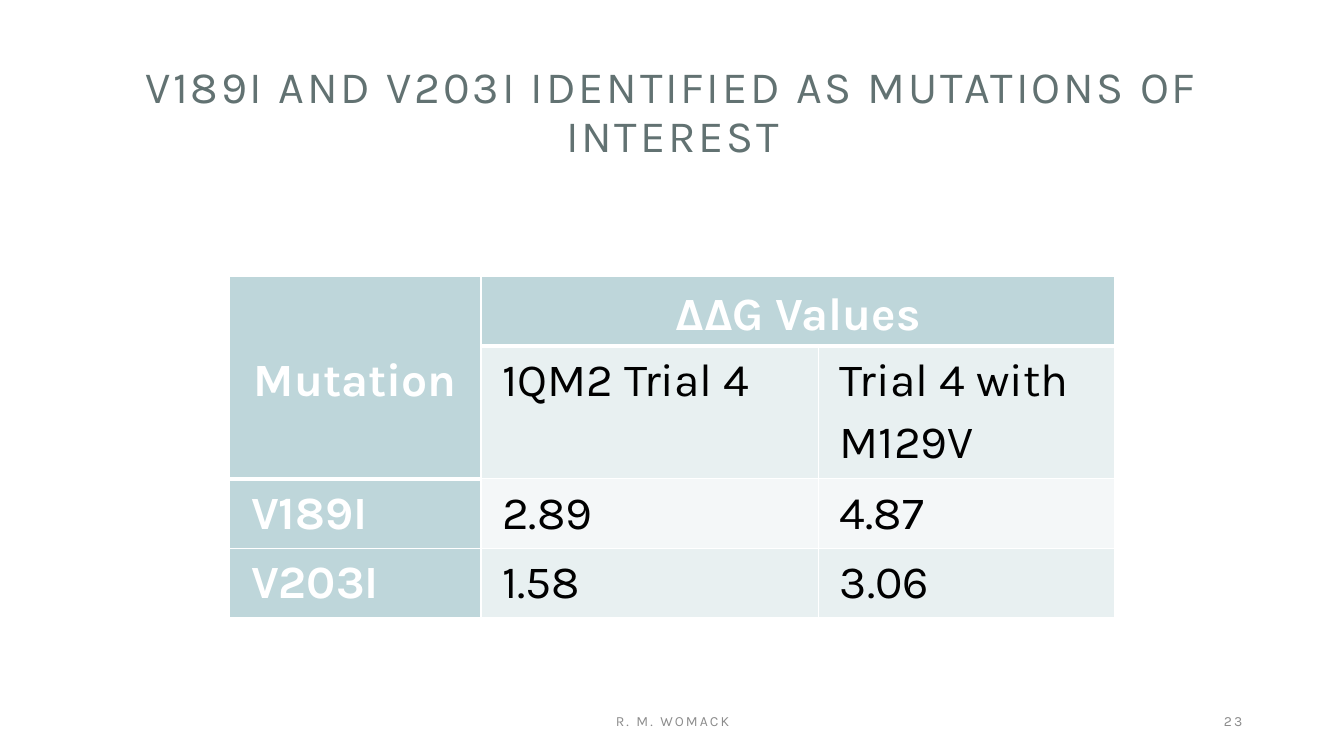
from dataclasses import dataclass

from lxml import etree
from pptx import Presentation
from pptx import util as u
from pptx.dml.color import RGBColor
from pptx.enum import text
from pptx.oxml import ns


@dataclass(frozen=True)
class Theme:
    font: str = "Karla"
    title: str = "627272"
    muted: str = "8C8C8C"
    white: str = "FFFFFF"
    black: str = "000000"
    header: str = "BED6DA"
    band_dark: str = "E8F0F1"
    band_light: str = "F4F7F8"
    title_size: int = 32
    table_size: int = 33
    footer_size: int = 10


T = Theme()
AL = text.PP_ALIGN
MIDDLE = text.MSO_ANCHOR.MIDDLE


def write(tf, words, size, color, align=AL.LEFT, bold=False, line=None, after=None, spacing=0):
    """Put one formatted run into a text frame."""
    tf.word_wrap = True
    p = tf.paragraphs[0]
    p.alignment = align
    if line is not None:
        p.line_spacing = line
    if after is not None:
        p.space_after = u.Pt(after)
    r = p.add_run()
    r.text = words
    r.font.name = T.font
    r.font.size = u.Pt(size)
    r.font.bold = bold
    r.font.color.rgb = RGBColor.from_string(color)
    if spacing:
        r.font._element.set("spc", str(int(spacing * 100)))


def place(sp, box):
    sp.left, sp.top, sp.width, sp.height = (u.Inches(v) for v in box)


def add_title(s, box, words):
    sp = s.shapes.title
    place(sp, box)
    tf = sp.text_frame
    tf.auto_size = text.MSO_AUTO_SIZE.NONE
    tf.vertical_anchor = MIDDLE
    write(tf, words, T.title_size, T.title, AL.CENTER, line=0.9, spacing=2)


def add_footer(s, box, words, align):
    sp = s.shapes.add_textbox(*(u.Inches(v) for v in box))
    sp.text_frame.vertical_anchor = MIDDLE
    write(sp.text_frame, words, T.footer_size, T.muted, align, after=6, spacing=1.5)


def set_borders(cell, **widths):
    """Draw white cell edges; widths are points keyed L, R, T, B."""
    tc_pr = cell._tc.get_or_add_tcPr()
    for i, side in enumerate("LRTB"):
        ln = etree.Element(ns.qn(f"a:ln{side}"), w=str(u.Pt(widths.get(side, 1))))
        fill = etree.SubElement(ln, ns.qn("a:solidFill"))
        etree.SubElement(fill, ns.qn("a:srgbClr"), val=T.white)
        tc_pr.insert(i, ln)


def add_mutation_table(s, box, rows, col_widths, row_heights):
    size = len(rows), len(col_widths)
    table = s.shapes.add_table(*size, *(u.Inches(v) for v in box)).table
    for col, width in zip(table.columns, col_widths):
        col.width = u.Inches(width)
    for row, height in zip(table.rows, row_heights):
        row.height = u.Inches(height)

    # Spanning headers
    table.cell(0, 0).merge(table.cell(1, 0))
    table.cell(0, 1).merge(table.cell(0, 2))

    for i, row in enumerate(rows):
        for j, words in enumerate(row):
            cell = table.cell(i, j)
            header = i == 0 or j == 0
            band = T.band_dark if i % 2 else T.band_light
            cell.fill.solid()
            cell.fill.fore_color.rgb = RGBColor.from_string(T.header if header else band)
            cell.margin_left = cell.margin_right = u.Inches(0.21)
            cell.margin_top = cell.margin_bottom = 0
            # A heavy rule closes the header, one row lower in the first column
            rule_row = 0 if j else 1
            bottom = 3 if i == rule_row or i == 0 else 1
            set_borders(cell, T=3 if i == rule_row + 1 else 1, B=bottom)
            if words:
                if i == 0:
                    cell.vertical_anchor = MIDDLE
                write(cell.text_frame, words, T.table_size, T.white if header else T.black,
                      AL.CENTER if i == 0 else AL.LEFT, bold=header, line=1.15)


def main():
    prs = Presentation()
    prs.slide_width, prs.slide_height = u.Inches(13.33), u.Inches(7.5)
    s = prs.slides.add_slide(prs.slide_layouts[5])

    # Title
    add_title(s, (0.92, 0.4, 11.5, 1.45), "V189I AND V203I IDENTIFIED AS MUTATIONS OF INTEREST")

    # Table of energy changes
    rows = [
        ("Mutation", "ΔΔG Values", ""),
        ("", "1QM2 Trial 4", "Trial 4 with M129V"),
        ("V189I", "2.89", "4.87"),
        ("V203I", "1.58", "3.06"),
    ]
    add_mutation_table(s, (2.28, 2.74, 8.78, 3.4), rows,
                       (2.49, 3.35, 2.94), (0.69, 1.32, 0.69, 0.69))

    # Footer
    add_footer(s, (4.42, 6.95, 4.5, 0.4), "R. M. WOMACK", AL.CENTER)
    add_footer(s, (9.42, 6.95, 3, 0.4), "23", AL.RIGHT)

    prs.save("out.pptx")


if __name__ == "__main__":
    main()
